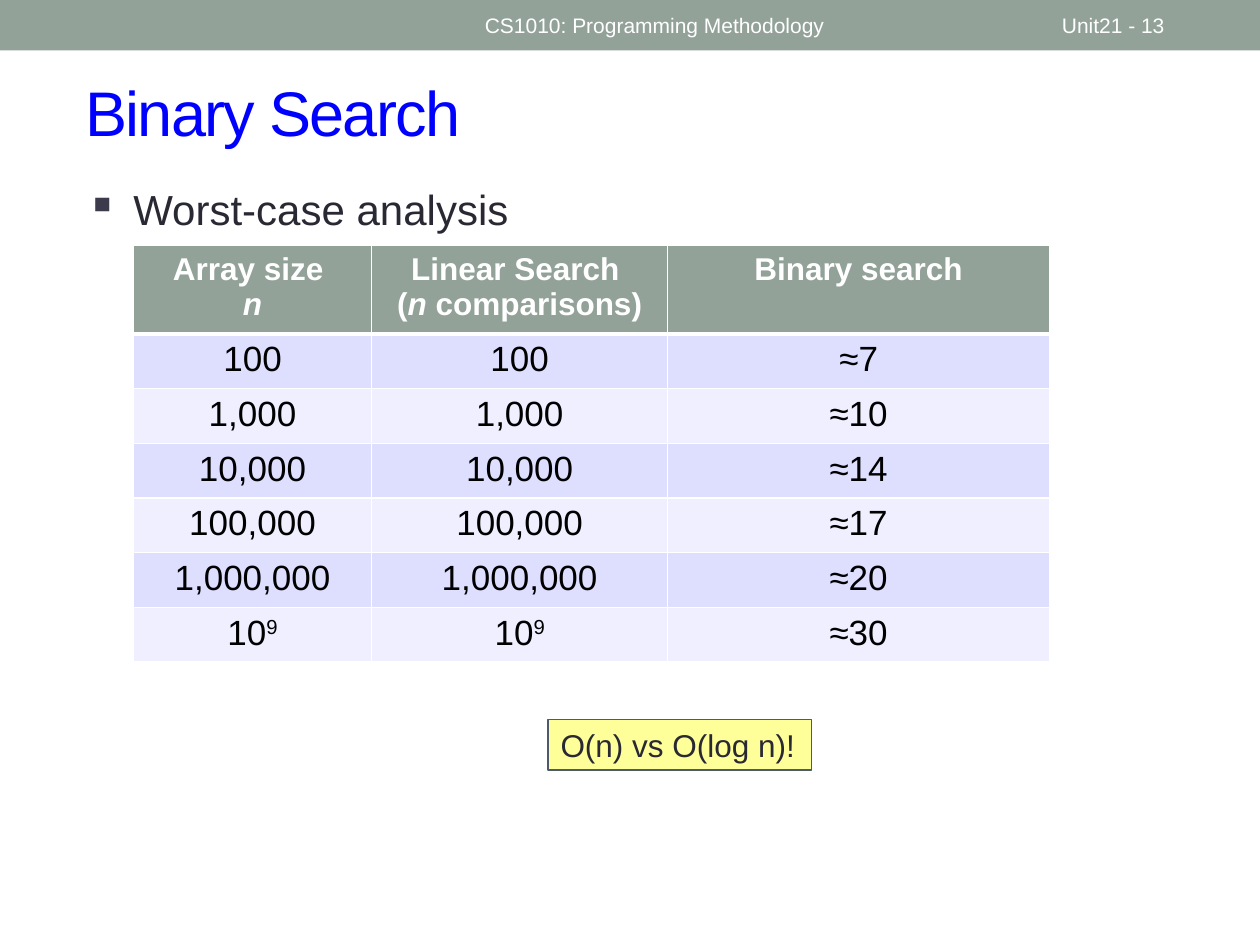
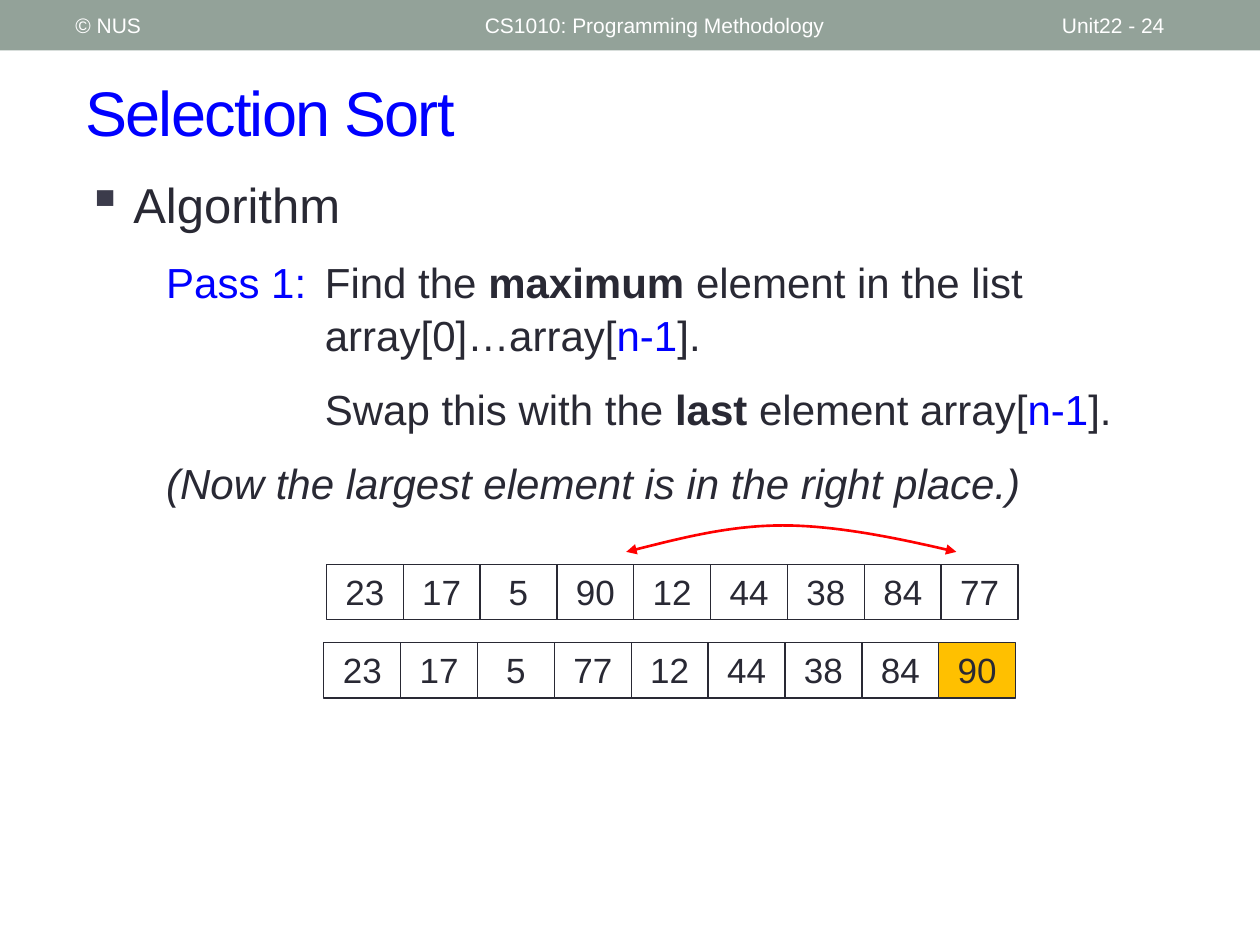
"""Build two lecture slides: binary search cost and the first pass of selection sort."""
from dataclasses import dataclass
from typing import NamedTuple, Optional

import lxml.etree
import pptx
import pptx.dml.color
import pptx.enum.shapes
import pptx.enum.text
import pptx.oxml.ns
import pptx.util

Inches = pptx.util.Inches
Pt = pptx.util.Pt
ALIGN = pptx.enum.text.PP_ALIGN
ANCHOR = pptx.enum.text.MSO_ANCHOR


@dataclass(frozen=True)
class Theme:
    font: str = "Arial"
    band: str = "93A299"
    title: str = "0000FF"
    ink: str = "292934"
    bullet: str = "3B3B4B"
    white: str = "FFFFFF"
    black: str = "000000"
    row_dark: str = "DEDEFF"
    row_light: str = "EFEFFF"
    note: str = "FFFF99"
    note_line: str = "4C5A6A"
    sorted_fill: str = "FFC000"
    swap: str = "FF0000"
    title_size: int = 36
    lead_size: int = 28
    body_size: int = 24
    cell_size: int = 20
    label_size: int = 18
    footer_size: int = 12


class Span(NamedTuple):
    text: str
    color: Optional[str] = None
    bold: bool = False
    italic: bool = False
    raised: bool = False


class Area(NamedTuple):
    left: float
    top: float
    width: float
    height: float

    def lengths(self) -> tuple:
        return tuple(Inches(value) for value in self)


class Item(NamedTuple):
    spans: tuple
    size: int
    margin: float
    indent: float
    bullet: bool = False


class ArrayRow(NamedTuple):
    left: float
    top: float
    values: tuple
    sorted_from: int


THEME = Theme()
BAND = Area(0, 0, 10, 0.4)
TITLE = Area(0.58, 0.42, 9.17, 0.92)
COURSE = Area(3.75, 0.02, 4.5, 0.36)
PAGE_NUMBER = Area(8.33, 0.02, 1.17, 0.36)
COPYRIGHT = Area(0.5, 0.02, 3.17, 0.36)
CELL_WIDTH, CELL_HEIGHT = 0.61, 0.44


def rgb(color: str):
    """Turn a hex string into a colour."""
    return pptx.dml.color.RGBColor.from_string(color)


def add_element(parent, tag: str, **attributes: str):
    """Append a drawing element to its parent."""
    element = lxml.etree.SubElement(parent, pptx.oxml.ns.qn(tag))
    for name, value in attributes.items():
        element.set(name, value)
    return element


def write_spans(para, spans: tuple, size: int, color: str, align=ALIGN.LEFT) -> None:
    """Fill a paragraph with formatted runs."""
    para.alignment = align
    for span in spans:
        run = para.add_run()
        run.text = span.text
        font = run.font
        font.name, font.size = THEME.font, Pt(size)
        font.bold, font.italic = span.bold, span.italic
        font.color.rgb = rgb(span.color or color)
        if span.raised:
            run._r.get_or_add_rPr().set("baseline", "30000")


def add_text(page, area: Area, text: str, size: int, color: str):
    """Add a one-line text box centred vertically."""
    box = page.shapes.add_textbox(*area.lengths())
    frame = box.text_frame
    frame.word_wrap = True
    frame.vertical_anchor = ANCHOR.MIDDLE
    write_spans(frame.paragraphs[0], (Span(text),), size, color)
    return box


def add_box(page, area: Area, fill: Optional[str], line: Optional[str] = None,
            weight: float = 1):
    """Add a plain rectangle."""
    box = page.shapes.add_shape(pptx.enum.shapes.MSO_SHAPE.RECTANGLE, *area.lengths())
    box.shadow.inherit = False
    if fill:
        box.fill.solid()
        box.fill.fore_color.rgb = rgb(fill)
    else:
        box.fill.background()
    if line:
        box.line.color.rgb = rgb(line)
        box.line.width = Pt(weight)
    else:
        box.line.fill.background()
    box.text_frame.vertical_anchor = ANCHOR.TOP
    return box


def add_page(deck, title: str, number: str):
    """Add a blank page with its band, title and header texts."""
    page = deck.slides.add_slide(deck.slide_layouts[6])
    add_box(page, BAND, THEME.band)
    heading = add_text(page, TITLE, title, THEME.title_size, THEME.title)
    heading.text_frame.paragraphs[0].runs[0]._r.get_or_add_rPr().set("spc", "-100")
    for area, text in ((COURSE, "CS1010: Programming Methodology"), (PAGE_NUMBER, number)):
        add_text(page, area, text, THEME.footer_size, THEME.white)
    return page


def add_body(page, area: Area, items: list) -> None:
    """Add the indented body text."""
    frame = page.shapes.add_textbox(*area.lengths()).text_frame
    frame.word_wrap = True
    for index, item in enumerate(items):
        para = frame.add_paragraph() if index else frame.paragraphs[0]
        properties = para._p.get_or_add_pPr()
        properties.set("marL", str(Inches(item.margin)))
        properties.set("indent", str(Inches(item.indent)))
        if item.bullet:
            add_element(add_element(properties, "a:buClr"), "a:srgbClr", val=THEME.bullet)
            add_element(properties, "a:buChar", char="▪")
        para.line_spacing = 1.05
        if index:
            para.space_before = Pt(12)
        write_spans(para, item.spans, item.size, THEME.ink)


def border_cell(cell, top: float, bottom: float) -> None:
    """Draw white borders round a table cell."""
    properties = cell._tc.get_or_add_tcPr()
    for side, weight in (("L", 1), ("R", 1), ("T", top), ("B", bottom)):
        line = add_element(properties, f"a:ln{side}", w=str(Pt(weight)))
        add_element(add_element(line, "a:solidFill"), "a:srgbClr", val=THEME.white)


def add_cost_table(page, area: Area, widths: tuple, rows: list) -> None:
    """Add the table of comparisons with a header and banded rows."""
    table = page.shapes.add_table(len(rows), len(widths), *area.lengths()).table
    table.horz_banding = False
    for column, width in zip(table.columns, widths):
        column.width = Inches(width)
    for row_index, row in enumerate(rows):
        header = row_index == 0
        table.rows[row_index].height = Inches(0.64 if header else 0.41)
        band = THEME.row_dark if row_index % 2 else THEME.row_light
        size = THEME.label_size if header else THEME.cell_size
        for column_index, lines in enumerate(row):
            cell = table.cell(row_index, column_index)
            border_cell(cell, 3 if row_index == 1 else 1, 3 if header else 1)
            cell.fill.solid()
            cell.fill.fore_color.rgb = rgb(THEME.band if header else band)
            frame = cell.text_frame
            for line_index, spans in enumerate(lines):
                para = frame.add_paragraph() if line_index else frame.paragraphs[0]
                write_spans(para, spans, size, THEME.white if header else THEME.black,
                            ALIGN.CENTER)


def add_array(page, row: ArrayRow) -> None:
    """Draw an array as adjoining cells, with its sorted part coloured."""
    for index, value in enumerate(row.values):
        area = Area(row.left + index * CELL_WIDTH, row.top, CELL_WIDTH, CELL_HEIGHT)
        fill = THEME.sorted_fill if index >= row.sorted_from else None
        box = add_box(page, area, fill, THEME.ink, 0.75)
        write_spans(box.text_frame.paragraphs[0], (Span(str(value)),),
                    THEME.cell_size, THEME.ink, ALIGN.CENTER)


def curve_points(start, first, second, end, steps: int = 20) -> list:
    """Sample a cubic curve, leaving out its start."""
    points = []
    for step in range(1, steps + 1):
        t = step / steps
        weights = ((1 - t) ** 3, 3 * t * (1 - t) ** 2, 3 * t ** 2 * (1 - t), t ** 3)
        points.append(tuple(
            Inches(sum(w * p[axis] for w, p in zip(weights, (start, first, second, end))))
            for axis in (0, 1)))
    return points


def add_swap_arrow(page) -> None:
    """Draw the curved double arrow between the swapped elements."""
    start, peak, end = (4.97, 4.38), (6.21, 4.17), (7.59, 4.38)
    builder = page.shapes.build_freeform(Inches(start[0]), Inches(start[1]))
    points = curve_points(start, (5.37, 4.28), (5.77, 4.17), peak)
    points += curve_points(peak, (6.64, 4.17), (7.12, 4.27), end)
    builder.add_line_segments(points, close=False)
    arrow = builder.convert_to_shape()
    arrow.shadow.inherit = False
    arrow.fill.background()
    arrow.line.color.rgb = rgb(THEME.swap)
    arrow.line.width = Pt(1.5)
    line = arrow.line._get_or_add_ln()
    for tag in ("a:headEnd", "a:tailEnd"):
        add_element(line, tag, type="triangle")


def build_binary_search(deck) -> None:
    """Build the worst-case analysis page."""
    page = add_page(deck, "Binary Search", "Unit21 - 13")
    add_body(page, Area(0.59, 1.39, 9.07, 0.78), [
        Item((Span("Worst-case analysis"),), THEME.body_size, 0.37, -0.37, True)])
    header = [
        [(Span("Array size ", bold=True),), (Span("n", bold=True, italic=True),)],
        [(Span("Linear Search ", bold=True),),
         (Span("(", bold=True), Span("n", bold=True, italic=True),
          Span(" comparisons)", bold=True))],
        [(Span("Binary search", bold=True),)],
    ]
    sizes = [(Span(f"{10 ** power:,}"),) for power in range(2, 7)]
    sizes.append((Span("10"), Span("9", raised=True)))
    rows = [[[size], [size], [(Span(f"≈{cost}"),)]]
            for size, cost in zip(sizes, (7, 10, 14, 17, 20, 30))]
    add_cost_table(page, Area(1.06, 1.95, 7.27, 3.1), (1.89, 2.35, 3.03), [header] + rows)
    note = add_box(page, Area(4.35, 5.71, 2.09, 0.4), THEME.note, THEME.note_line)
    note.text_frame.word_wrap = False
    write_spans(note.text_frame.paragraphs[0], (Span("O(n) vs O(log n)!"),),
                THEME.label_size, THEME.ink)


def build_selection_sort(deck) -> None:
    """Build the first pass of selection sort."""
    page = add_page(deck, "Selection Sort", "Unit22 - 24")
    add_text(page, COPYRIGHT, "© NUS", THEME.footer_size, THEME.white)
    last_index = (Span("n-1", THEME.title), Span("]."))
    steps = [
        (Span("Pass 1: \t", THEME.title), Span("Find the "), Span("maximum", bold=True),
         Span(" element in the list array[0]…array["), *last_index),
        (Span("\tSwap this with the "), Span("last ", bold=True),
         Span("element array["), *last_index),
        (Span("(Now the largest element is in the right place.)", italic=True),),
    ]
    add_body(page, Area(0.59, 1.31, 9.11, 5.4), [
        Item((Span("Algorithm"),), THEME.lead_size, 0.37, -0.37, True),
        *(Item(spans, THEME.body_size, 1.89, -1.26) for spans in steps)])
    add_array(page, ArrayRow(2.59, 4.48, (23, 17, 5, 90, 12, 44, 38, 84, 77), 9))
    add_swap_arrow(page)
    add_array(page, ArrayRow(2.57, 5.1, (23, 17, 5, 77, 12, 44, 38, 84, 90), 8))


def main() -> None:
    """Build and save the deck."""
    deck = pptx.Presentation()
    deck.slide_width, deck.slide_height = Inches(10), Inches(7.5)
    build_binary_search(deck)
    build_selection_sort(deck)
    deck.save("out.pptx")


if __name__ == "__main__":
    main()
